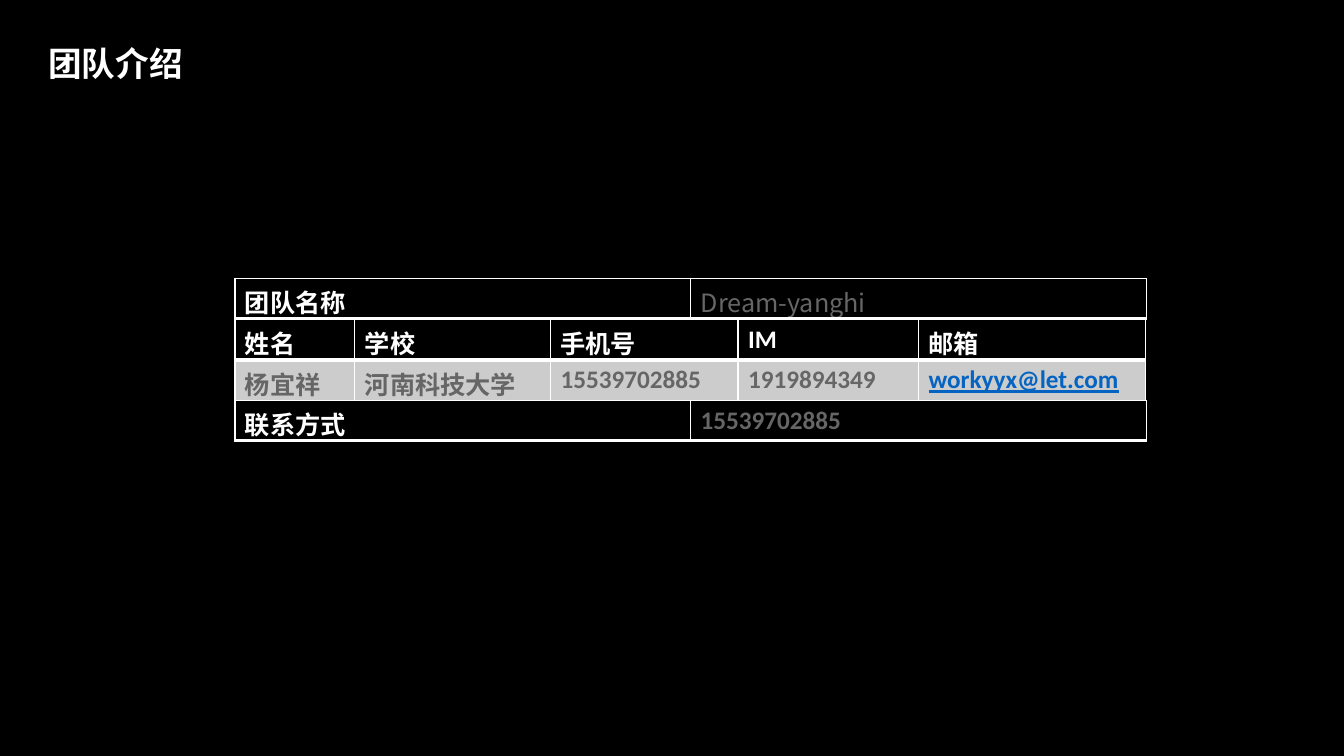
from lxml.etree import SubElement
from pptx import Presentation
from pptx.dml.color import RGBColor
from pptx.oxml.ns import qn
from pptx.util import Inches, Pt

TITLE = "团队介绍"
LATIN, CHINESE = "Calibri", "Noto Sans CJK SC"
BLACK, WHITE, GRAY, SILVER, BLUE = "000000", "FFFFFF", "666666", "CCCCCC", "0563C1"

LABEL = {"color": WHITE, "bold": True}
VALUE = {"color": GRAY, "bold": True}
PLAIN = {"color": GRAY, "bold": False, "name": CHINESE}
ADDRESS = {"color": BLUE, "bold": True, "underline": True}

HEADINGS = ["姓名", "学校", "手机号", "IM", "邮箱"]
MEMBER = ["杨宜祥", "河南科技大学", "15539702885", "1919894349"]
TABLE_LEFT = 2.33
ROW_HEIGHT = 0.4
HALVES = [4.52, 4.52]
# Each table: top, column widths, rows of (fill, cells of (text, format))
TABLES = [
    (3.17, [1.19, 1.94, 1.86, 1.79, 2.25], [
        (BLACK, [(text, LABEL) for text in HEADINGS]),
        (SILVER, [(text, VALUE) for text in MEMBER] + [("workyyx@let.com", ADDRESS)]),
    ]),
    (2.76, HALVES, [(BLACK, [("团队名称", LABEL), ("Dream-yanghi", PLAIN)])]),
    (3.97, HALVES, [(BLACK, [("联系方式", LABEL), ("15539702885", VALUE)])]),
]


def color(value):
    return RGBColor.from_string(value)


def write(text_frame, text, format_values, size):
    """Put one formatted run into a text frame."""
    run = text_frame.paragraphs[0].add_run()
    run.text = text
    values = {"name": LATIN, "size": Pt(size), **format_values}
    run.font.color.rgb = color(values.pop("color"))
    for name, value in values.items():
        setattr(run.font, name, value)
    SubElement(run.font._element, qn("a:ea"), typeface=CHINESE)


def set_borders(cell, widths):
    properties = cell._tc.get_or_add_tcPr()
    for side, width in widths.items():
        line = SubElement(properties, qn(f"a:ln{side}"), w=str(Pt(width)))
        fill = SubElement(line, qn("a:solidFill"))
        SubElement(fill, qn("a:srgbClr"), val=WHITE)


def add_team_table(slide, top, column_widths, rows):
    frame = slide.shapes.add_table(
        len(rows), len(column_widths), Inches(TABLE_LEFT), Inches(top),
        Inches(sum(column_widths)), Inches(ROW_HEIGHT * len(rows)))
    table = frame.table
    for column, width in zip(table.columns, column_widths):
        column.width = Inches(width)
    for row_index, (fill, cells) in enumerate(rows):
        table.rows[row_index].height = Inches(ROW_HEIGHT)
        for column_index, (text, format_values) in enumerate(cells):
            cell = table.cell(row_index, column_index)
            cell.margin_top, cell.margin_bottom = Inches(0.05), 0
            set_borders(cell, {"L": 1, "R": 1, "T": 3 if row_index else 1,
                               "B": 1 if row_index else 3})
            cell.fill.solid()
            cell.fill.fore_color.rgb = color(fill)
            write(cell.text_frame, text, format_values, 18)


def main():
    presentation = Presentation()
    presentation.slide_width, presentation.slide_height = Inches(13.33), Inches(7.5)
    slide = presentation.slides.add_slide(presentation.slide_layouts[6])
    slide.background.fill.solid()
    slide.background.fill.fore_color.rgb = color(BLACK)

    title = slide.shapes.add_textbox(Inches(0.38), Inches(0.38), Inches(1.6), Inches(0.5))
    title.text_frame.word_wrap = False
    write(title.text_frame, TITLE, {**LABEL, "name": CHINESE}, 24)
    for top, column_widths, rows in TABLES:
        add_team_table(slide, top, column_widths, rows)
    presentation.save("out.pptx")


if __name__ == "__main__":
    main()
